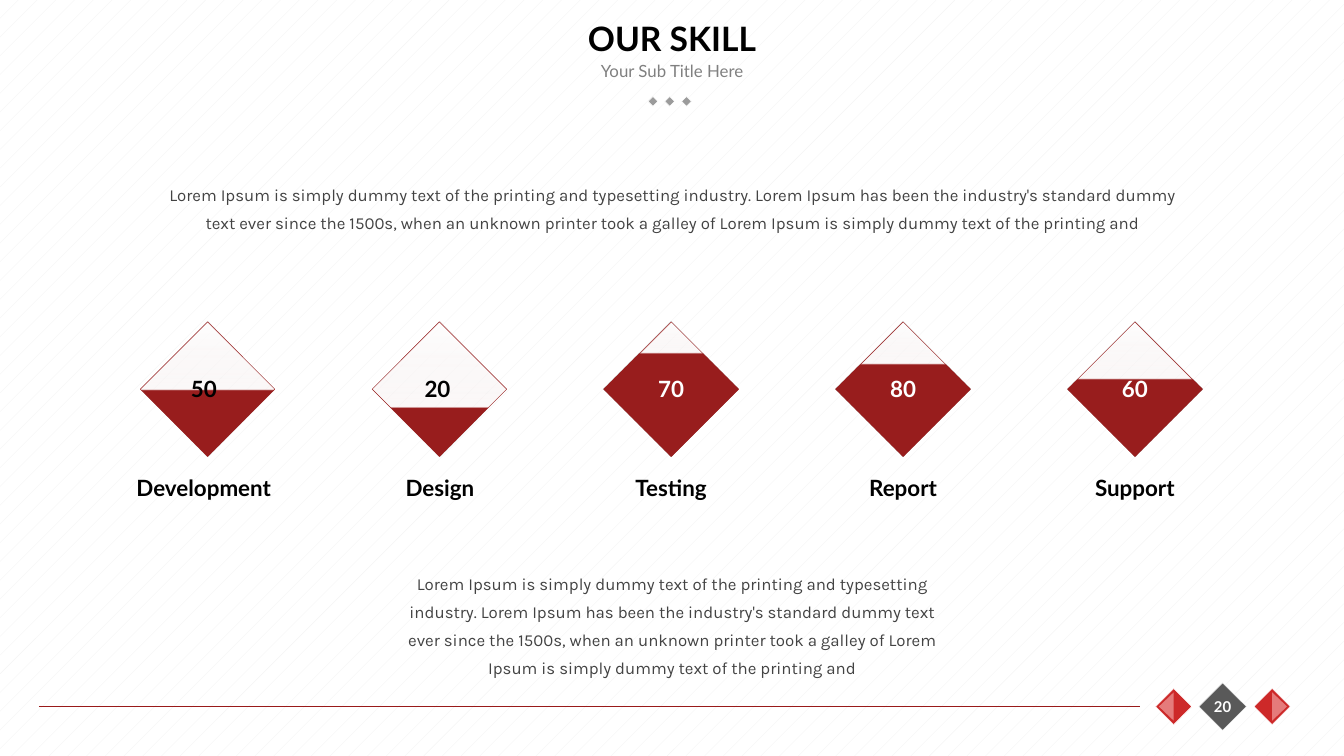
from lxml.etree import SubElement
from pptx import Presentation
from pptx.dml.color import RGBColor
from pptx.enum.dml import MSO_PATTERN
from pptx.enum.shapes import MSO_CONNECTOR, MSO_SHAPE
from pptx.enum.text import MSO_ANCHOR as Anchor, PP_ALIGN as Align
from pptx.oxml.ns import qn
from pptx.util import Pt

BLACK = RGBColor(0x00, 0x00, 0x00)
WHITE = RGBColor(0xFF, 0xFF, 0xFF)
STRIPE = RGBColor(0xF2, 0xF2, 0xF2)
SUBTITLE_GRAY = RGBColor(0x80, 0x80, 0x80)
DOT_GRAY = RGBColor(0x9B, 0x9B, 0x9B)
PAGE_GRAY = RGBColor(0x59, 0x59, 0x59)
BODY_GRAY = RGBColor(0x43, 0x43, 0x43)
RULE_RED = RGBColor(0x99, 0x1A, 0x1A)
SKILL_RED = RGBColor(0x99, 0x1E, 0x1E)
ARROW_RED = RGBColor(0xCD, 0x29, 0x29)
ARROW_PINK = RGBColor(0xE5, 0x7B, 0x7B)
SKILL_PALE = RGBColor(0xF7, 0xF0, 0xF0)

INTRO = (
    "Lorem Ipsum is simply dummy text of the printing and typesetting industry. "
    "Lorem Ipsum has been the industry's standard dummy text ever since the 1500s, "
    "when an unknown printer took a galley of Lorem Ipsum is simply dummy text of "
    "the printing and"
)
SKILLS = [
    ("Development", "50", 49, BLACK, -2, -2),
    ("Design", "20", 36, BLACK, -1, 0.3),
    ("Testing", "70", 76, WHITE, 0, 0),
    ("Report", "80", 68, WHITE, 0, 0),
    ("Support", "60", 57, WHITE, 0, 0),
]


def add_text(slide, text, left, top, width, height, size=12, color=BLACK,
             font="Lato", bold=False, anchor=Anchor.TOP, leading=None):
    frame = slide.shapes.add_textbox(
        Pt(left), Pt(top), Pt(width), Pt(height)).text_frame
    frame.word_wrap = True
    frame.vertical_anchor = anchor
    paragraph = frame.paragraphs[0]
    paragraph.alignment = Align.CENTER
    if leading:
        paragraph.line_spacing = Pt(leading)
    run = paragraph.add_run()
    run.text = text
    run.font.name = font
    run.font.size = Pt(size)
    run.font.bold = bold
    run.font.color.rgb = color


def add_centered(slide, preset, center_x, center_y, width, height, rotation):
    shape = slide.shapes.add_shape(
        preset, Pt(center_x - width / 2), Pt(center_y - height / 2),
        Pt(width), Pt(height))
    shape.rotation = rotation
    shape.shadow.inherit = False
    return shape


def add_diamond(slide, center_x, center_y, side, color):
    diamond = add_centered(
        slide, MSO_SHAPE.RECTANGLE, center_x, center_y, side, side, 315)
    diamond.fill.solid()
    diamond.fill.fore_color.rgb = color
    diamond.line.color.rgb = WHITE
    diamond.line.width = Pt(0.25)


def add_nav_arrow(slide, center_x, center_y, direction):
    add_diamond(slide, center_x, center_y, 13.7, ARROW_RED)
    tip = add_centered(slide, MSO_SHAPE.FLOWCHART_EXTRACT,
                       center_x + direction * 4, center_y, 15.1, 7.9,
                       90 * direction)
    tip.fill.solid()
    tip.fill.fore_color.rgb = ARROW_PINK
    tip.line.fill.background()


def add_gauge(slide, center_x, center_y, level):
    gauge = add_centered(
        slide, MSO_SHAPE.RECTANGLE, center_x, center_y, 51, 51, 225)
    gauge.fill.gradient()
    gauge.fill.gradient_angle = 315
    stops = next(gauge._element.spPr.iter(qn("a:gsLst")))
    for stop in list(stops):
        stops.remove(stop)
    for position, color, opacity in [
            (0, SKILL_RED, 100), (level, SKILL_RED, 100),
            (level + 1, SKILL_PALE, 41), (100, WHITE, 100)]:
        stop = SubElement(stops, qn("a:gs"), pos=str(position * 1000))
        tone = SubElement(stop, qn("a:srgbClr"), val=str(color))
        if opacity < 100:
            SubElement(tone, qn("a:alpha"), val=str(opacity * 1000))
    gauge.line.color.rgb = SKILL_RED
    gauge.line.width = Pt(0.25)


def add_rule(slide, start, end, y):
    rule = slide.shapes.add_connector(
        MSO_CONNECTOR.STRAIGHT, Pt(start), Pt(y), Pt(end), Pt(y))
    rule.line.color.rgb = RULE_RED
    rule.line.width = Pt(0.75)
    SubElement(rule._element.spPr, qn("a:effectLst"))


def add_header(slide):
    for column in (-1, 0, 1):
        add_diamond(slide, 358.8 + 9 * column, 54.3, 3.7, DOT_GRAY)
    add_text(slide, "Your Sub Title Here", 270, 28.8, 180, 18, size=9,
             color=SUBTITLE_GRAY, anchor=Anchor.MIDDLE)
    add_text(slide, "OUR SKILL", 54, 0, 612, 40.5, size=18, bold=True,
             anchor=Anchor.MIDDLE)


def add_footer(slide):
    middle = 378.5
    add_rule(slide, 20.9, 610.6, middle)
    add_diamond(slide, 655, middle, 18, PAGE_GRAY)
    add_nav_arrow(slide, 681.5, middle, 1)
    add_nav_arrow(slide, 628.8, middle, -1)
    add_text(slide, "20", 640, middle - 9, 30, 18, size=8, color=WHITE,
             bold=True, anchor=Anchor.MIDDLE)


def add_skills(slide):
    for column, (name, value, level, color, value_shift, name_shift) in enumerate(SKILLS):
        center = 111.2 + 124.2 * column
        add_gauge(slide, center, 208.5, level)
        add_text(slide, value, center - 40 + value_shift, 197.5, 80, 21.6,
                 color=color, bold=True)
        add_text(slide, name, center - 50 + name_shift, 250.6, 100, 21.6,
                 bold=True)


def main():
    deck = Presentation()
    deck.slide_width, deck.slide_height = Pt(720), Pt(405)
    slide = deck.slides.add_slide(deck.slide_layouts[6])
    backdrop = slide.background.fill
    backdrop.patterned()
    backdrop.pattern = MSO_PATTERN.PERCENT_5
    backdrop.fore_color.rgb = STRIPE
    backdrop.back_color.rgb = WHITE
    add_header(slide)
    add_footer(slide)
    for left, top, width, height in [(75, 91.4, 570, 37.4),
                                     (204.8, 299.5, 310.4, 67.7)]:
        add_text(slide, INTRO, left, top, width, height, size=9,
                 color=BODY_GRAY, font="Karla", leading=15)
    add_skills(slide)
    deck.save("out.pptx")


if __name__ == "__main__":
    main()
